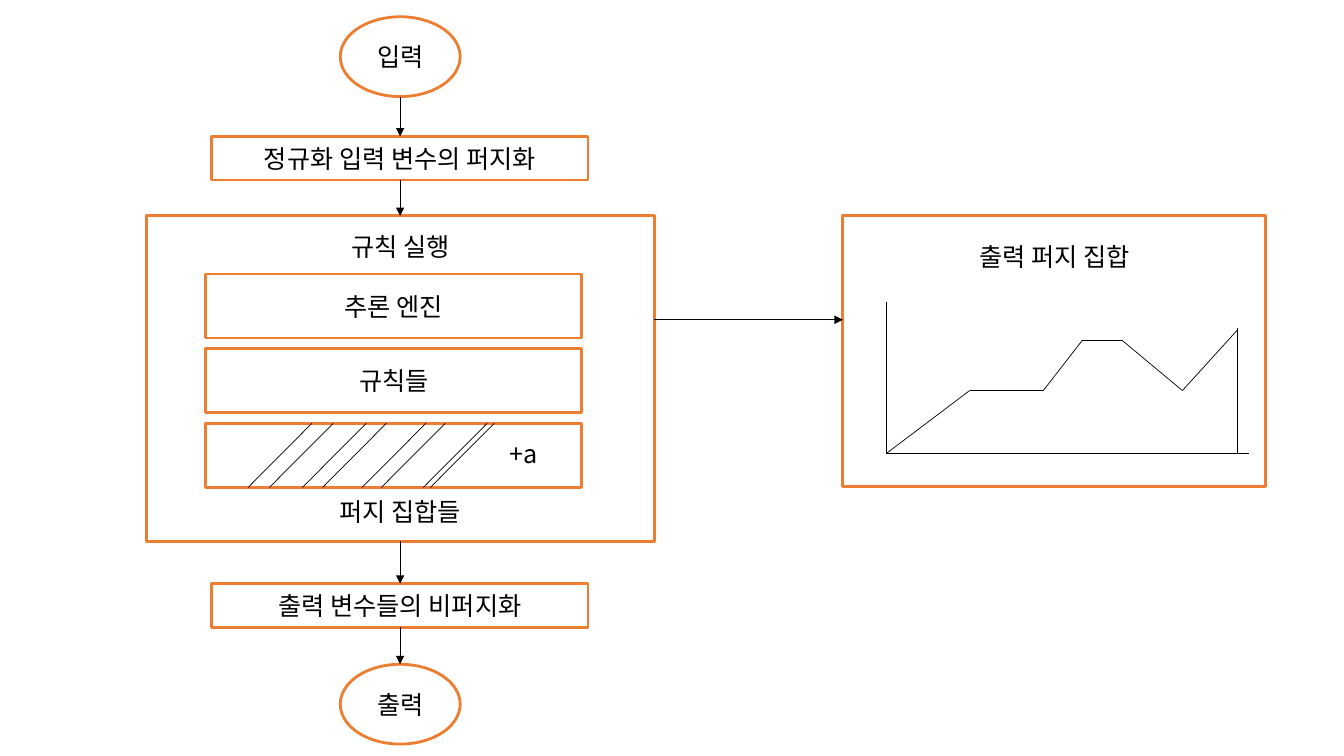
from lxml import etree
from pptx import Presentation
from pptx.dml.color import RGBColor
from pptx.enum import shapes, text
from pptx.oxml.ns import qn
from pptx.util import Pt

COLORS = {"line": "000000", "text": "000000", "border": "ED7D31", "fill": "FFFFFF"}
FONT = {"name": "Noto Sans CJK KR", "size": Pt(18)}
RECT = shapes.MSO_SHAPE.RECTANGLE
OVAL = shapes.MSO_SHAPE.OVAL
MIDDLE = text.MSO_ANCHOR.MIDDLE
TOP = text.MSO_ANCHOR.TOP


def color(name):
    return RGBColor.from_string(COLORS[name])


class Diagram:
    def __init__(self, slide):
        self.shapes = slide.shapes

    def add_words(self, p, words, align):
        p.alignment = align
        r = p.add_run()
        r.text = words
        for key, value in FONT.items():
            setattr(r.font, key, value)
        r.font.color.rgb = color("text")
        etree.SubElement(r.font._element, qn("a:ea"), typeface=FONT["name"])

    def box(self, kind, x, y, w, h, lines=(), gap=0, filled=False, **frame):
        """Draw an outlined shape; gap is the space between its lines of text."""
        sp = self.shapes.add_shape(kind, Pt(x), Pt(y), Pt(w), Pt(h))
        sp.shadow.inherit = False
        if filled:
            sp.fill.solid()
            sp.fill.fore_color.rgb = color("fill")
        else:
            sp.fill.background()
        sp.line.color.rgb = color("border")
        sp.line.width = Pt(2)
        tf = sp.text_frame
        for key, value in {"vertical_anchor": MIDDLE, "word_wrap": True, **frame}.items():
            setattr(tf, key, value)
        for i, words in enumerate(lines):
            p = tf.add_paragraph() if i else tf.paragraphs[0]
            if i:
                p.space_before = Pt(gap)
            self.add_words(p, words, text.PP_ALIGN.CENTER)

    def label(self, x, y, w, h, words):
        tf = self.shapes.add_textbox(Pt(x), Pt(y), Pt(w), Pt(h)).text_frame
        tf.word_wrap = False
        tf.auto_size = text.MSO_AUTO_SIZE.SHAPE_TO_FIT_TEXT
        self.add_words(tf.paragraphs[0], words, text.PP_ALIGN.LEFT)

    def line(self, start, end, arrow=False):
        ends = [Pt(v) for v in (*start, *end)]
        c = self.shapes.add_connector(shapes.MSO_CONNECTOR.STRAIGHT, *ends)
        c.line.color.rgb = color("line")
        c.line.width = Pt(0.5)
        if arrow:
            ln = c._element.spPr.find(qn("a:ln"))
            etree.SubElement(ln, qn("a:tailEnd"), type="triangle")
        etree.SubElement(c._element.spPr, qn("a:effectLst"))

    def polyline(self, points):
        for start, end in zip(points, points[1:]):
            self.line(start, end)


def main():
    prs = Presentation()
    prs.slide_width, prs.slide_height = Pt(960), Pt(540)
    d = Diagram(prs.slides.add_slide(prs.slide_layouts[6]))

    # Main flow, from input to output
    for y, words in ((12, "입력"), (474.5, "출력")):
        d.box(OVAL, 243, y, 85.7, 57, [words], filled=True)
    for y, words in ((97.4, "정규화 입력 변수의 퍼지화"), (416.9, "출력 변수들의 비퍼지화")):
        d.box(RECT, 151.2, y, 268.8, 31.2, [words])
    d.box(RECT, 104.4, 154.2, 363, 232.4, ["규칙 실행", "퍼지 집합들"], gap=167.5)
    for i, lines in enumerate((["추론 엔진"], ["규칙들"], [])):
        d.box(RECT, 147, 195.8 + 53.3 * i, 268.6, 45.7, lines)

    # Hatching in the fuzzy set box
    for x in (177.2, 192.4, 216, 230.4, 258.6, 272.4, 302.4, 307.4):
        d.line((x, 348.2), (x + 45.6, 302.4))
    d.label(357, 309.6, 36.7, 29, "+a")

    # Output fuzzy set with its curve
    d.box(RECT, 602, 154.2, 302.2, 193.4, ["출력 퍼지 집합"],
          vertical_anchor=TOP, margin_top=Pt(18))
    d.polyline([(633, 216), (633, 324), (892, 324)])
    d.polyline([(633, 324), (692.6, 279), (745.2, 279), (773.2, 243),
                (801.4, 243), (844.6, 279), (884, 235.6)])
    d.line((883.6, 234), (883.6, 324))

    for top, bottom in ((69, 97.4), (128.6, 154.2), (386.6, 416.9), (448.1, 474.5)):
        d.line((285.8, top), (285.8, bottom), arrow=True)
    d.line((467.4, 228.4), (602, 228.4), arrow=True)

    prs.save("out.pptx")


if __name__ == "__main__":
    main()
